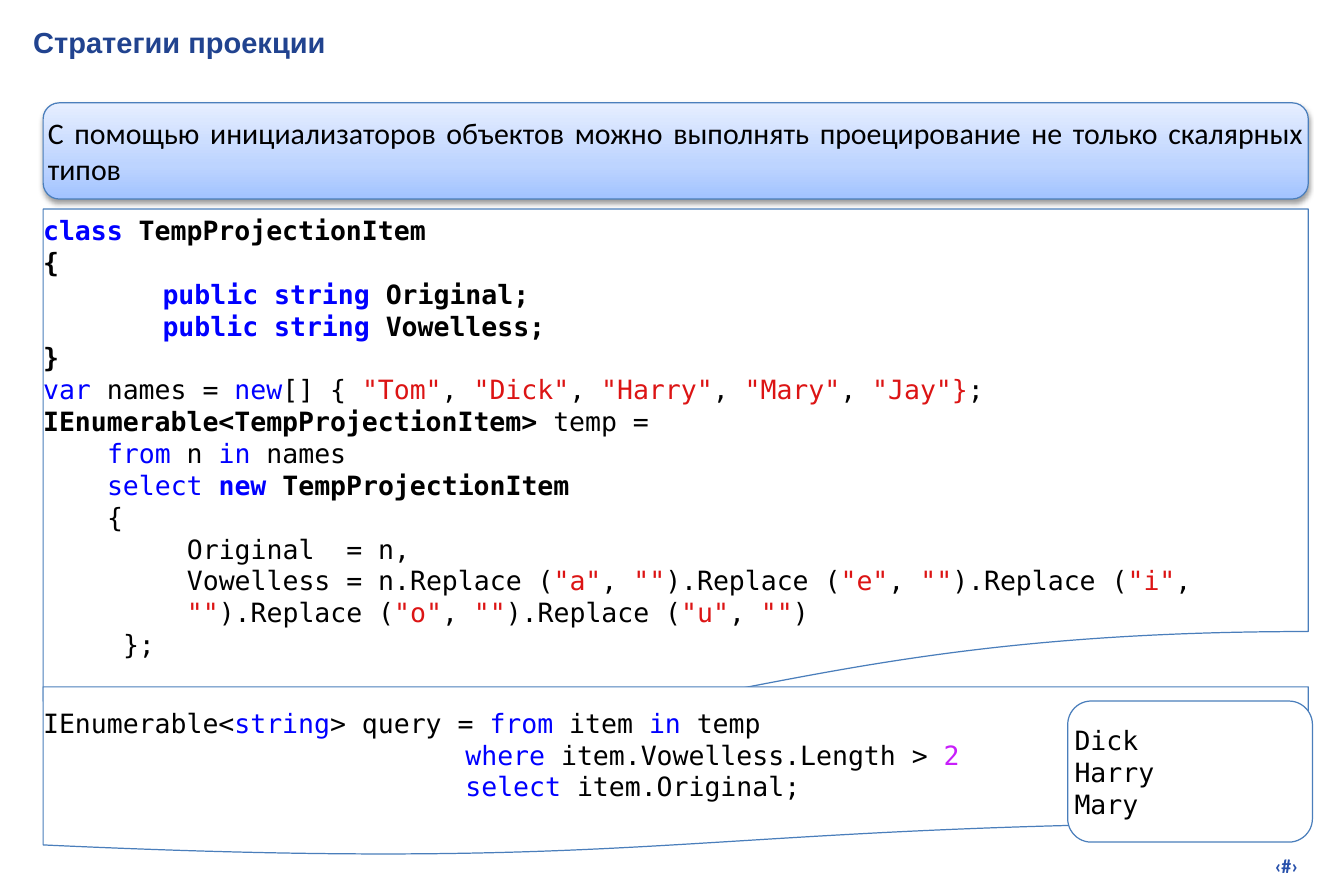
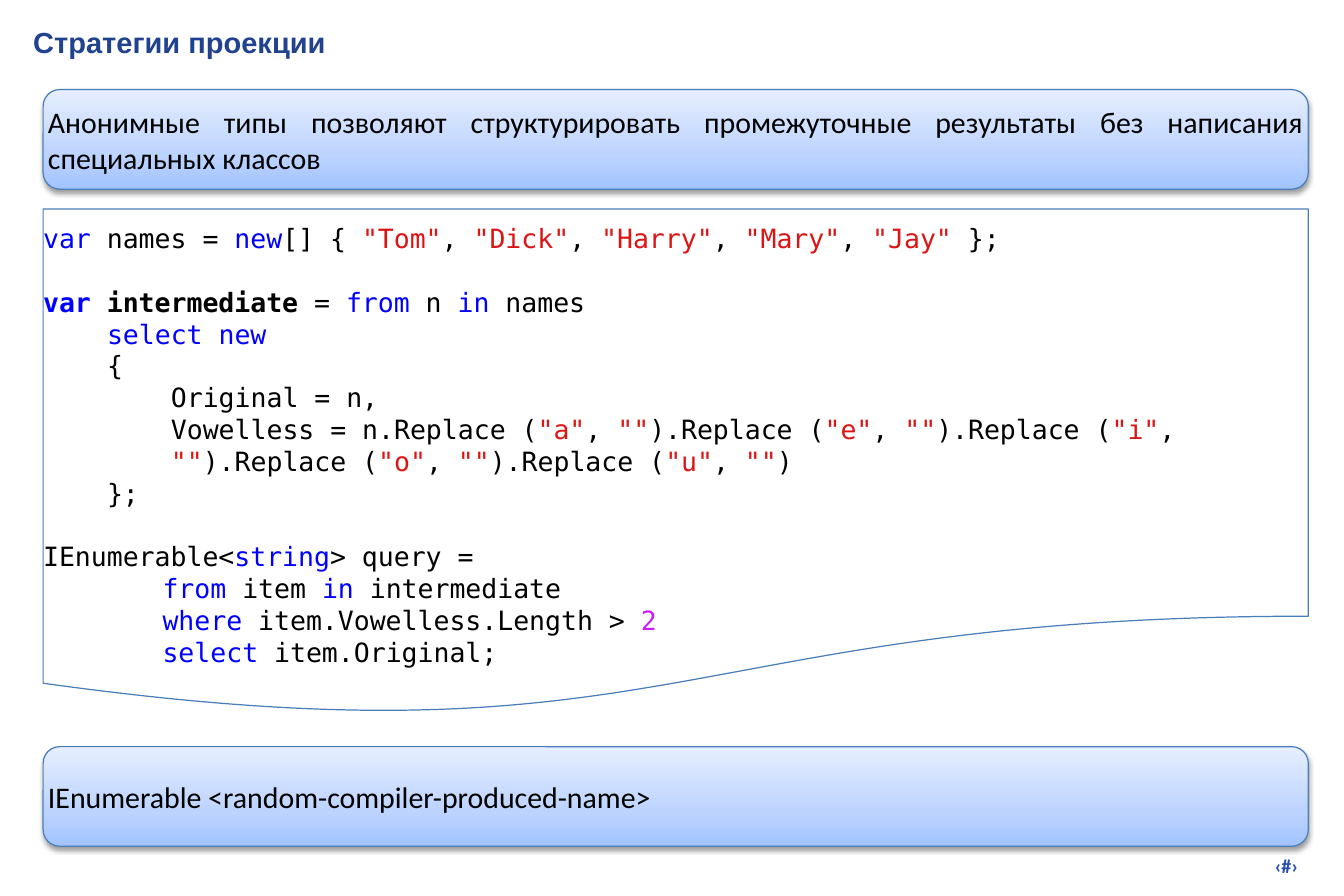
from itertools import groupby

from pptx import Presentation
from pptx.dml.color import RGBColor
from pptx.enum.shapes import MSO_SHAPE
from pptx.enum.text import MSO_ANCHOR, PP_ALIGN
from pptx.oxml import parse_xml
from pptx.oxml.ns import nsdecls, qn
from pptx.util import Pt

ROUNDED, DOCUMENT = MSO_SHAPE.ROUNDED_RECTANGLE, MSO_SHAPE.FLOWCHART_DOCUMENT
TOP, MIDDLE = MSO_ANCHOR.TOP, MSO_ANCHOR.MIDDLE
LEFT, RIGHT, JUSTIFY = PP_ALIGN.LEFT, PP_ALIGN.RIGHT, PP_ALIGN.JUSTIFY

COLOURS = {
    "plain": "000000", "keyword": "0000FF", "string": "DC1414", "number": "C81EFA",
    "title": "21438F", "page_number": "2750AB", "line": "4A7EBB", "panel": "FFFFFF",
}
BANNER_STOPS = [(0, "A2C3FF"), (35, "BDD4FF"), (100, "E6EEFF")]
WORD_KINDS = dict.fromkeys(
    "class public string var new from in select where".split(), "keyword") | {"2": "number"}

TITLE_FONT = {"name": "Arial", "size": Pt(17.5), "bold": True}
NUMBER_FONT = {"name": "Calibri", "size": Pt(12), "bold": True}
BANNER_FONT = {"name": "Calibri", "size": Pt(18)}
CODE_FONT = {"name": "DejaVu Sans Mono", "size": Pt(16)}

COLUMN = 9.63  # width of one code character
TAB = 72
BLANK_LINE = 19
EDGE, FULL_WIDTH = 26, 762.5


def write(box, lines, font, align=LEFT, anchor=TOP, margins=(0, 0, 0, 0), kind="plain"):
    """Fill a box with (indent, text, space before) lines.

    Asterisks enclose bold text, backticks enclose string literals;
    keywords and numbers are coloured by WORD_KINDS.
    """
    frame = box.text_frame
    frame.word_wrap, frame.vertical_anchor = True, anchor
    for side, margin in zip(("left", "top", "right", "bottom"), margins):
        setattr(frame, f"margin_{side}", Pt(margin))
    for index, (indent, text, space) in enumerate(lines):
        para = frame.paragraphs[0] if index == 0 else frame.add_paragraph()
        para.alignment, para.space_before = align, Pt(space)
        para._p.get_or_add_pPr().set("marL", str(Pt(indent)))
        for bold_index, part in enumerate(text.split("*")):
            tokens = []
            for literal_index, piece in enumerate(part.split("`")):
                if literal_index % 2:
                    tokens.append(("string", piece))
                else:
                    words = ("".join(group) for _, group in groupby(piece, str.isalnum))
                    tokens += [(WORD_KINDS.get(word, kind), word) for word in words]
            for token_kind, group in groupby(tokens, lambda token: token[0]):
                span = para.add_run()
                span.text = "".join(word for _, word in group)
                for name, value in ({"bold": bold_index % 2 == 1} | font).items():
                    setattr(span.font, name, value)
                span.font.color.rgb = RGBColor.from_string(COLOURS[token_kind])


def add_panel(page, preset, left, top, width, height):
    panel = page.shapes.add_shape(preset, Pt(left), Pt(top), Pt(width), Pt(height))
    panel.shadow.inherit = False
    panel.fill.solid()
    panel.fill.fore_color.rgb = RGBColor.from_string(COLOURS["panel"])
    panel.line.color.rgb = RGBColor.from_string(COLOURS["line"])
    panel.line.width = Pt(0.75)
    return panel


replace_start = 'Vowelless = n.Replace (`"a"`, `""`).Replace (`"e"`, `""`).Replace (`"i"`,'
replace_end = '`""`).Replace (`"o"`, `""`).Replace (`"u"`, `""`)'

pages = [
    {
        "banners": [(62, 58, JUSTIFY, "С помощью инициализаторов объектов можно выполнять "
                     "проецирование не только скалярных типов")],
        "code": [
            (126, 317.5, 3, [
                (0, "*class TempProjectionItem*", 0),
                (0, "*{*", 0),
                (TAB, "*public string Original;*", 0),
                (TAB, "*public string Vowelless;*", 0),
                (0, "*}*", 0),
                (0, 'var names = new[] { `"Tom"`, `"Dick"`, `"Harry"`, `"Mary"`, `"Jay"}`;', 0),
                (0, "*IEnumerable<TempProjectionItem>* temp =", 0),
                (4 * COLUMN, "from n in names", 0),
                (4 * COLUMN, "select *new TempProjectionItem*", 0),
                (4 * COLUMN, "{", 0),
                (9 * COLUMN, "Original  = n,", 0),
                (9 * COLUMN, replace_start, 0),
                (9 * COLUMN, replace_end, 0),
                (5 * COLUMN, "};", 0),
            ]),
            (414, 102, 12, [
                (0, "IEnumerable<string> query = from item in temp", 0),
                (3 * TAB + 4 * COLUMN, "where item.Vowelless.Length > 2", 0),
                (3 * TAB + 4 * COLUMN, "select item.Original;", 0),
            ]),
        ],
        "results": ["Dick", "Harry", "Mary"],
    },
    {
        "banners": [
            (54, 60, JUSTIFY, "Анонимные типы позволяют структурировать промежуточные "
             "результаты без написания специальных классов"),
            (450, 60, LEFT, "IEnumerable <random-compiler-produced-name>"),
        ],
        "code": [
            (126, 306, 8, [
                (0, 'var names = new[] { `"Tom"`, `"Dick"`, `"Harry"`, `"Mary"`, `"Jay"` };', 0),
                (0, "*var intermediate* = from n in names", BLANK_LINE),
                (4 * COLUMN, "select new", 0),
                (4 * COLUMN, "{", 0),
                (8 * COLUMN, "Original = n,", 0),
                (8 * COLUMN, replace_start, 0),
                (8 * COLUMN, replace_end, 0),
                (4 * COLUMN, "};", 0),
                (0, "IEnumerable<string> query =", BLANK_LINE),
                (TAB, "from item in intermediate", 0),
                (TAB, "where item.Vowelless.Length > 2", 0),
                (TAB, "select item.Original;", 0),
            ]),
        ],
        "results": [],
    },
]

deck = Presentation()
deck.slide_width, deck.slide_height = Pt(810), Pt(540)

for content in pages:
    page = deck.slides.add_slide(deck.slide_layouts[6])

    number = page.shapes.add_textbox(Pt(615), Pt(511), Pt(171), Pt(21))
    write(number, [(0, "‹#›", 0)], NUMBER_FONT, RIGHT, margins=(3.6,) * 4, kind="page_number")
    title = page.shapes.add_textbox(Pt(20), Pt(14.5), Pt(773), Pt(29))
    write(title, [(0, "Стратегии проекции", 0)], TITLE_FONT, kind="title")

    for top, height, align, text in content["banners"]:
        banner = add_panel(page, ROUNDED, EDGE, top, FULL_WIDTH, height)
        banner.fill.gradient()
        banner.fill.gradient_angle = 90
        properties = banner._element.spPr
        stops = properties.find(".//" + qn("a:gsLst"))
        stops.clear()
        for position, colour in BANNER_STOPS:
            stops.append(parse_xml(
                f'<a:gs {nsdecls("a")} pos="{position * 1000}"><a:srgbClr val="{colour}"/></a:gs>'))
        properties.find(qn("a:effectLst")).append(parse_xml(
            f'<a:outerShdw {nsdecls("a")} blurRad="{Pt(3)}" dist="{Pt(1.6)}" dir="5400000" '
            'rotWithShape="0"><a:srgbClr val="000000"><a:alpha val="38000"/></a:srgbClr>'
            '</a:outerShdw>'))
        write(banner, [(0, text, 0)], BANNER_FONT, align, MIDDLE)

    for top, height, top_margin, lines in content["code"]:
        listing = add_panel(page, DOCUMENT, EDGE, top, FULL_WIDTH, height)
        write(listing, lines, CODE_FONT, margins=(0, top_margin, 0, 0))

    if content["results"]:
        results = add_panel(page, ROUNDED, 643.5, 422.5, 147.5, 85)
        write(results, [(0, name, 0) for name in content["results"]], CODE_FONT, anchor=MIDDLE)

deck.save("out.pptx")
